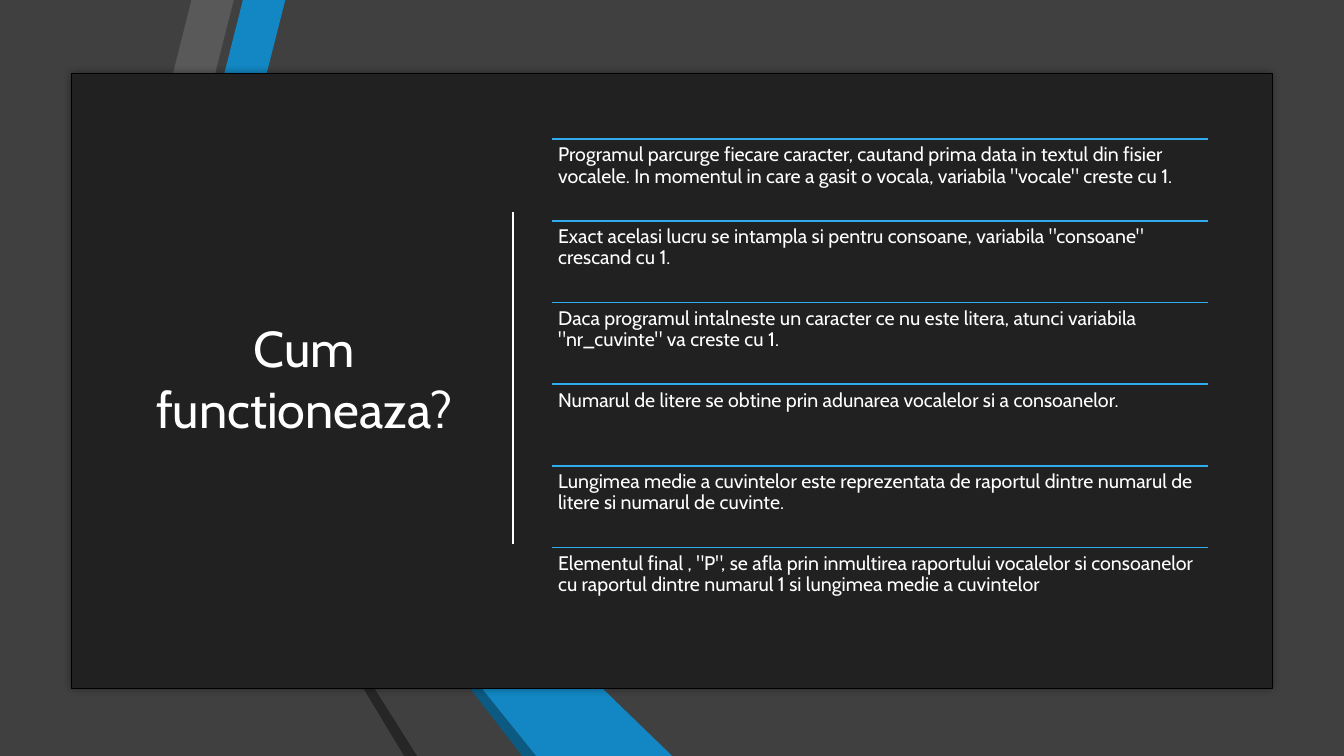
import pptx
import pptx.dml.color
import pptx.enum.shapes
import pptx.enum.text
import pptx.oxml
import pptx.oxml.ns
import pptx.util

Pt = pptx.util.Pt
WIDTH, HEIGHT = 960, 540
COLOURS = {
    "backdrop": "404040",
    "panel": "212121",
    "grey": "595959",
    "dark": "262626",
    "blue": "1287C3",
    "deep_blue": "0C5A82",
    "rule": "30ACEC",
    "white": "FFFFFF",
    "black": "000000",
}

# Folded ribbons, back to front: colour and corner points
RIBBONS = [
    ("blue", [(120.2, 211.7), (148.3, 218.9), (203.8, 0), (173.5, 0)]),
    ("grey", [(113.8, 210.2), (167, 0), (136.8, 0), (85.7, 203), (113, 210.2)]),
    ("dark", [(85.7, 203.8), (288.7, HEIGHT), (298.1, HEIGHT)]),
    ("deep_blue", [(383, HEIGHT), (120.2, 212.4), (373, HEIGHT)]),
    ("blue", [(120.2, 211.7), (120.2, 212.4), (383, HEIGHT), (480.2, HEIGHT),
              (148.3, 218.9)]),
    ("backdrop", [(368, HEIGHT), (118.8, 217.4), (113.8, 210.2), (85.7, 203),
                  (85.7, 203.8), (298.1, HEIGHT)]),
]

STEPS = [
    'Programul parcurge fiecare caracter, cautand prima data in textul din fisier '
    'vocalele. In momentul in care a gasit o vocala, variabila "vocale" creste cu 1.',
    'Exact acelasi lucru se intampla si pentru consoane, variabila "consoane" '
    'crescand cu 1.',
    'Daca programul intalneste un caracter ce nu este litera, atunci variabila '
    '"nr_cuvinte" va creste cu 1.',
    'Numarul de litere se obtine prin adunarea vocalelor si a consoanelor.',
    'Lungimea medie a cuvintelor este reprezentata de raportul dintre numarul de '
    'litere si numarul de cuvinte.',
    'Elementul final , "P", se afla prin inmultirea raportului vocalelor si '
    'consoanelor cu raportul dintre numarul 1 si lungimea medie a cuvintelor',
]
STEP_LEFT, STEP_TOP, STEP_WIDTH, STEP_HEIGHT = 394.5, 99.4, 468.4, 58.35


def colour(name):
    return pptx.dml.color.RGBColor.from_string(COLOURS[name])


def apply(target, values):
    for name, value in values.items():
        setattr(target, name, value)


class SlideBuilder:
    font = "Cabin"

    def __init__(self, page):
        self.page = page

    def paint(self, shape, fill, line=None):
        shape.shadow.inherit = False
        shape.fill.solid()
        shape.fill.fore_color.rgb = colour(fill)
        if line:
            shape.line.color.rgb = colour(line)
            shape.line.width = Pt(0.25)
        else:
            shape.line.fill.background()
        return shape

    def rectangle(self, left, top, width, height, fill, line=None):
        shape = self.page.shapes.add_shape(
            pptx.enum.shapes.MSO_SHAPE.RECTANGLE,
            Pt(left), Pt(top), Pt(width), Pt(height))
        return self.paint(shape, fill, line)

    def ribbon(self, fill, corners):
        points = [(Pt(x), Pt(y)) for x, y in corners]
        outline = self.page.shapes.build_freeform(*points[0])
        outline.add_line_segments(points[1:], close=True)
        return self.paint(outline.convert_to_shape(), fill)

    def soft_shadow(self, shape):
        effects = shape.element.spPr.find(pptx.oxml.ns.qn("a:effectLst"))
        effects.append(pptx.oxml.parse_xml(
            f'<a:outerShdw {pptx.oxml.ns.nsdecls("a")} blurRad="{Pt(5)}" dist="0" '
            f'dir="0"><a:srgbClr val="{COLOURS["black"]}"><a:alpha val="40000"/>'
            '</a:srgbClr></a:outerShdw>'))

    def line(self, x1, y1, x2, y2, stroke):
        rule = self.page.shapes.add_connector(
            pptx.enum.shapes.MSO_CONNECTOR.STRAIGHT, Pt(x1), Pt(y1), Pt(x2), Pt(y2))
        rule.line.color.rgb = colour(stroke)
        rule.line.width = Pt(1.25)
        rule.element.spPr.append(
            pptx.oxml.parse_xml(f'<a:effectLst {pptx.oxml.ns.nsdecls("a")}/>'))

    def fill_text(self, box, text, size, frame_format, para_format):
        apply(box.text_frame, {"word_wrap": True, **frame_format})
        para = box.text_frame.paragraphs[0]
        apply(para, para_format)
        span = para.add_run()
        span.text = text
        apply(span.font, {"name": self.font, "size": Pt(size)})
        span.font.color.rgb = colour("white")

    def title(self, left, top, width, height, text):
        box = self.page.shapes.title
        apply(box, {"left": Pt(left), "top": Pt(top),
                    "width": Pt(width), "height": Pt(height)})
        self.fill_text(box, text, 36,
                       {"vertical_anchor": pptx.enum.text.MSO_ANCHOR.MIDDLE,
                        "auto_size": pptx.enum.text.MSO_AUTO_SIZE.NONE},
                       {"alignment": pptx.enum.text.PP_ALIGN.CENTER})
        # Bring the title in front of the panel
        self.page.shapes.element.append(box.element)

    def step(self, top, text):
        self.line(STEP_LEFT, top, STEP_LEFT + STEP_WIDTH, top, "rule")
        box = self.page.shapes.add_textbox(
            Pt(STEP_LEFT), Pt(top), Pt(STEP_WIDTH), Pt(STEP_HEIGHT))
        sides = ("left", "top", "right", "bottom")
        self.fill_text(box, text, 14,
                       {f"margin_{side}": Pt(4.2) for side in sides},
                       {"line_spacing": 0.9, "space_after": Pt(4.9)})


def main():
    deck = pptx.Presentation()
    apply(deck, {"slide_width": Pt(WIDTH), "slide_height": Pt(HEIGHT)})
    page = deck.slides.add_slide(deck.slide_layouts.get_by_name("Title Only"))
    page.background.fill.solid()
    page.background.fill.fore_color.rgb = colour("panel")
    builder = SlideBuilder(page)

    # Backdrop, ribbons and panel
    builder.rectangle(0, 0, WIDTH, HEIGHT, "backdrop")
    for fill, corners in RIBBONS:
        builder.ribbon(fill, corners)
    panel = builder.rectangle(51.1, 52.4, 857.7, 439.4, "panel", "black")
    builder.soft_shadow(panel)

    # Title and divider
    builder.title(93.6, 99.4, 247.7, 341.3, "Cum functioneaza?")
    builder.line(366.5, 151.2, 366.5, 388.8, "white")

    # Steps, each under its own rule
    for index, text in enumerate(STEPS):
        builder.step(STEP_TOP + index * STEP_HEIGHT, text)

    deck.save("out.pptx")


if __name__ == "__main__":
    main()
